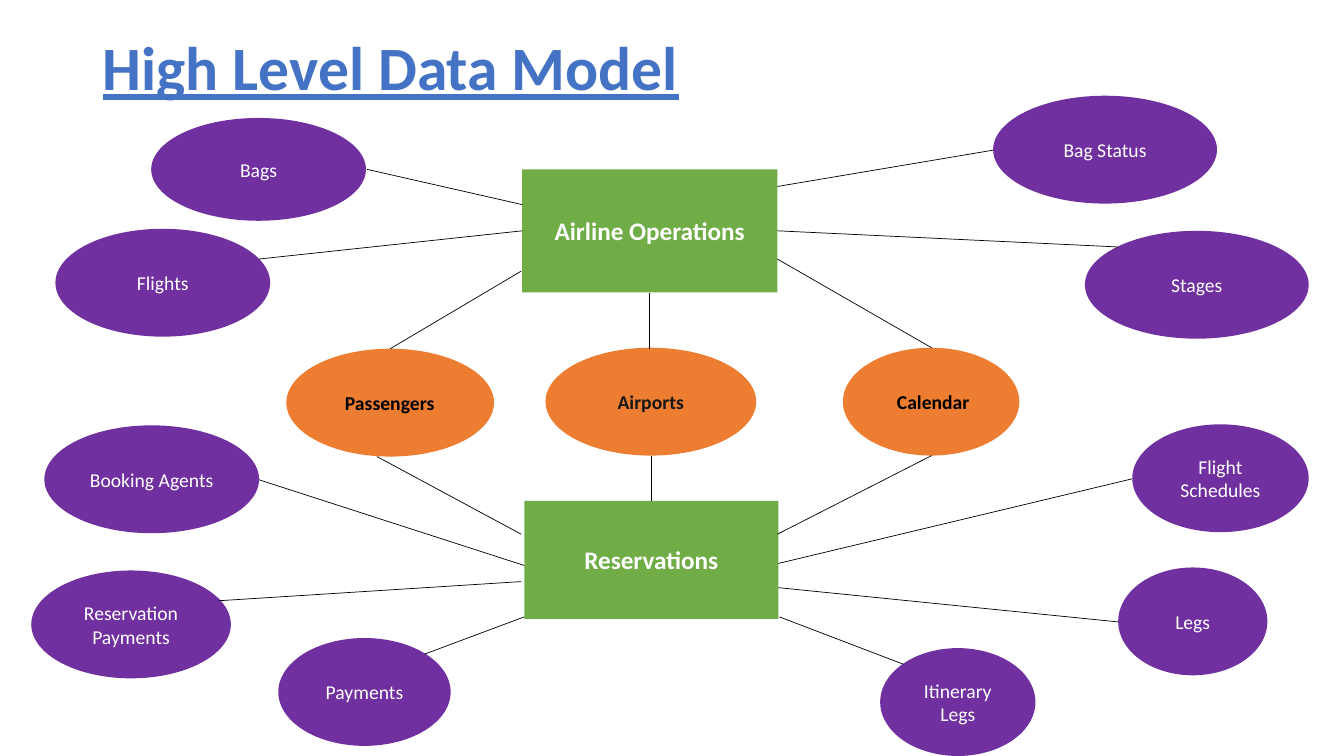
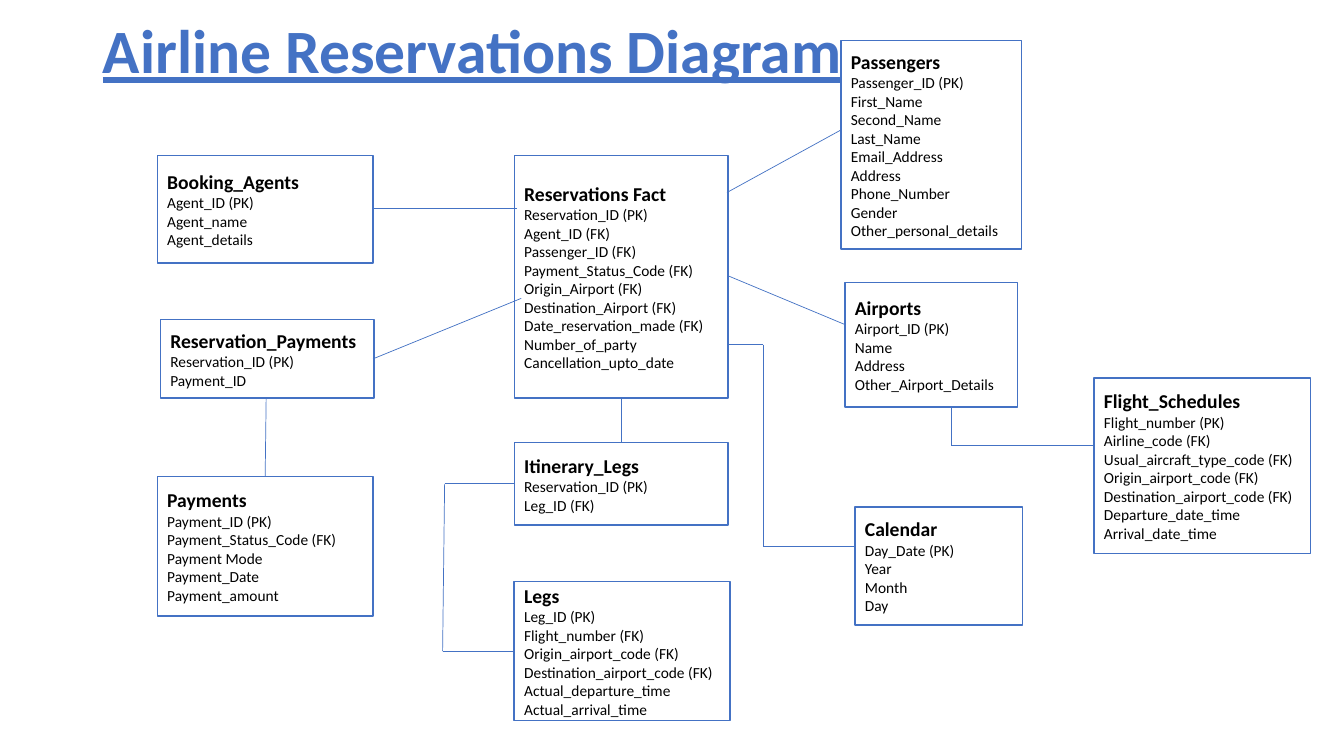
import pptx
import pptx.dml.color
import pptx.enum.shapes
import pptx.enum.text
import pptx.oxml.ns
import pptx.util
import itertools
import lxml.etree

PX = 9144
SIZE = (1333, 750)
COLORS = {
    "blue": "4472C4", "purple": "7030A0", "orange": "ED7D31", "green": "70AD47",
    "white": "FFFFFF", "black": "000000", "ink": "181717",
}
SHAPE = pptx.enum.shapes.MSO_SHAPE
LEFT = pptx.enum.text.PP_ALIGN.LEFT
CENTER = pptx.enum.text.PP_ALIGN.CENTER

TITLE = {"size": 44, "bold": True, "underline": True, "color": "blue"}
ENTITY = {"size": 14, "bold": False, "color": "white"}
SHARED = {"size": 14, "bold": True, "color": "black"}
AREA = {"size": 18, "bold": True, "color": "white"}
TABLE_NAME = {"size": 14, "bold": True, "color": "black"}
FIELD = {"size": 11, "bold": False, "color": "black"}

MODEL_TITLE = ("High Level Data Model", (92, 13, 1150, 114))
ENTITIES = [
    (["Flights"], (55, 227, 213, 107)),
    (["Itinerary", "Legs"], (873, 643, 154, 107)),
    (["Booking Agents"], (44, 422, 213, 107)),
    (["Flight", "Schedules"], (1123, 421, 175, 107)),
    (["Reservation", "Payments"], (31, 566, 198, 107)),
    (["Bag Status"], (985, 95, 222, 107)),
    (["Legs"], (1109, 563, 148, 107)),
    (["Stages"], (1076, 229, 222, 107)),
    (["Bags"], (150, 117, 213, 102)),
    (["Payments"], (276, 633, 171, 107)),
]
SHARED_ENTITIES = [
    ("Passengers", (284, 346, 206, 107), LEFT, 28, "black"),
    ("Airports", (541, 345, 209, 107), CENTER, 10, "ink"),
    ("Calendar", (836, 345, 175, 107), LEFT, 28, "black"),
]
AREAS = [
    ("Airline Operations", (518, 168, 253, 122)),
    ("Reservations", (520, 497, 252, 117)),
]
MODEL_LINKS = [
    [(364, 168), (518, 203)], [(257, 257), (518, 229)],
    [(517, 269), (387, 346)], [(374, 453), (517, 530)],
    [(644, 291), (644, 346)], [(646, 452), (646, 497)],
    [(771, 257), (924, 345)], [(771, 185), (985, 149)],
    [(771, 229), (1109, 245)], [(257, 476), (520, 561)],
    [(217, 596), (517, 577)], [(421, 649), (520, 612)],
    [(771, 530), (924, 452)], [(772, 559), (1123, 475)],
    [(772, 583), (1109, 617)], [(773, 612), (896, 659)],
]

DIAGRAM_TITLE = ("Airline Reservations Diagram", (92, 0, 1150, 107))
TABLES = [
    ("Reservation_Payments", (159, 317, 212, 78), ["Reservation_ID (PK)", "Payment_ID"]),
    ("Booking_Agents", (156, 154, 214, 107),
     ["Agent_ID (PK)", "Agent_name", "Agent_details"]),
    ("Payments", (156, 473, 214, 138),
     ["Payment_ID (PK)", "Payment_Status_Code (FK)", "Payment Mode", "Payment_Date",
      "Payment_amount"]),
    ("Flight_Schedules", (1085, 375, 215, 174),
     ["Flight_number (PK)", "Airline_code (FK)", "Usual_aircraft_type_code (FK)",
      "Origin_airport_code (FK)", "Destination_airport_code (FK)",
      "Departure_date_time", "Arrival_date_time"]),
    ("Itinerary_Legs", (510, 439, 212, 82), ["Reservation_ID (PK)", "Leg_ID (FK)"]),
    ("Legs", (510, 577, 214, 138),
     ["Leg_ID (PK)", "Flight_number (FK)", "Origin_airport_code (FK)",
      "Destination_airport_code (FK)", "Actual_departure_time", "Actual_arrival_time"]),
    ("Reservations Fact", (510, 154, 212, 241),
     ["Reservation_ID (PK)", "Agent_ID (FK)", "Passenger_ID (FK)",
      "Payment_Status_Code (FK)", "Origin_Airport (FK)", "Destination_Airport (FK)",
      "Date_reservation_made (FK)", "Number_of_party", "Cancellation_upto_date"]),
    ("Passengers", (834, 40, 179, 207),
     ["Passenger_ID (PK)", "First_Name", "Second_Name", "Last_Name", "Email_Address",
      "Address", "Phone_Number", "Gender", "Other_personal_details"]),
    ("Airports", (838, 280, 171, 124),
     ["Airport_ID (PK)", "Name", "Address", "Other_Airport_Details"]),
    ("Calendar", (848, 503, 166, 117), ["Day_Date (PK)", "Year", "Month", "Day"]),
]
DIAGRAM_LINKS = [
    [(370, 207), (513, 207)],
    [(370, 356), (517, 296)],
    [(264, 395), (263, 473)],
    [(616, 394), (616, 439)],
    [(510, 480), (441, 480), (439, 646), (510, 646)],
    [(721, 191), (834, 129)],
    [(723, 274), (838, 322)],
    [(722, 342), (757, 342), (757, 542), (848, 542)],
    [(944, 404), (944, 442), (1085, 442)],
]


def rgb(name):
    return pptx.dml.color.RGBColor.from_string(COLORS[name])


def set_all(obj, values):
    for name, value in values.items():
        setattr(obj, name, value)


def write(tf, lines, align, left=10):
    set_all(tf, {
        "word_wrap": True,
        "auto_size": pptx.enum.text.MSO_AUTO_SIZE.NONE,
        "vertical_anchor": pptx.enum.text.MSO_ANCHOR.MIDDLE,
        "margin_left": left * PX, "margin_right": 10 * PX,
        "margin_top": 5 * PX, "margin_bottom": 5 * PX,
    })
    for i, (text, style) in enumerate(lines):
        p = tf.add_paragraph() if i else tf.paragraphs[0]
        p.alignment = align
        r = p.add_run()
        r.text = text
        set_all(r.font, {**style, "name": "Calibri", "size": pptx.util.Pt(style["size"])} 
                if "color" not in style else
                {"name": "Calibri", "size": pptx.util.Pt(style["size"]),
                 "bold": style["bold"], "underline": style.get("underline")})
        r.font.color.rgb = rgb(style["color"])


def add_slide(prs, title, box):
    s = prs.slides.add_slide(prs.slide_layouts[5])
    sp = s.shapes.title
    set_all(sp, dict(zip(("left", "top", "width", "height"), (v * PX for v in box))))
    write(sp.text_frame, [(title, TITLE)], LEFT)
    sp.text_frame.paragraphs[0].line_spacing = 0.9
    return s


def add_box(s, kind, box, fill, lines, align=CENTER, left=10, outline=None):
    sp = s.shapes.add_shape(kind, *(v * PX for v in box))
    sp.shadow.inherit = False
    sp.fill.solid()
    sp.fill.fore_color.rgb = rgb(fill)
    if outline:
        sp.line.color.rgb = rgb(outline)
        sp.line.width = pptx.util.Pt(1)
    else:
        sp.line.fill.background()
    write(sp.text_frame, lines, align, left)


def add_links(s, links, color):
    for points in links:
        for start, end in itertools.pairwise(points):
            line = s.shapes.add_connector(
                pptx.enum.shapes.MSO_CONNECTOR.STRAIGHT, *(v * PX for v in start + end))
            line.line.color.rgb = rgb(color)
            line.line.width = pptx.util.Pt(0.5)
            lxml.etree.SubElement(line._element.spPr, pptx.oxml.ns.qn("a:effectLst"))


def build_model(prs):
    s = add_slide(prs, *MODEL_TITLE)
    for lines, box in ENTITIES:
        add_box(s, SHAPE.OVAL, box, "purple", [(text, ENTITY) for text in lines])
    for text, box, align, left, color in SHARED_ENTITIES:
        add_box(s, SHAPE.OVAL, box, "orange", [(text, {**SHARED, "color": color})], align, left)
    for text, box in AREAS:
        add_box(s, SHAPE.RECTANGLE, box, "green", [(text, AREA)])
    add_links(s, MODEL_LINKS, "black")


def build_diagram(prs):
    s = add_slide(prs, *DIAGRAM_TITLE)
    for name, box, fields in TABLES:
        lines = [(name, TABLE_NAME)] + [(field, FIELD) for field in fields]
        add_box(s, SHAPE.RECTANGLE, box, "white", lines, LEFT, outline="blue")
    add_links(s, DIAGRAM_LINKS, "blue")


def main():
    prs = pptx.Presentation()
    prs.slide_width, prs.slide_height = (v * PX for v in SIZE)
    build_model(prs)
    build_diagram(prs)
    prs.save("out.pptx")


if __name__ == "__main__":
    main()
